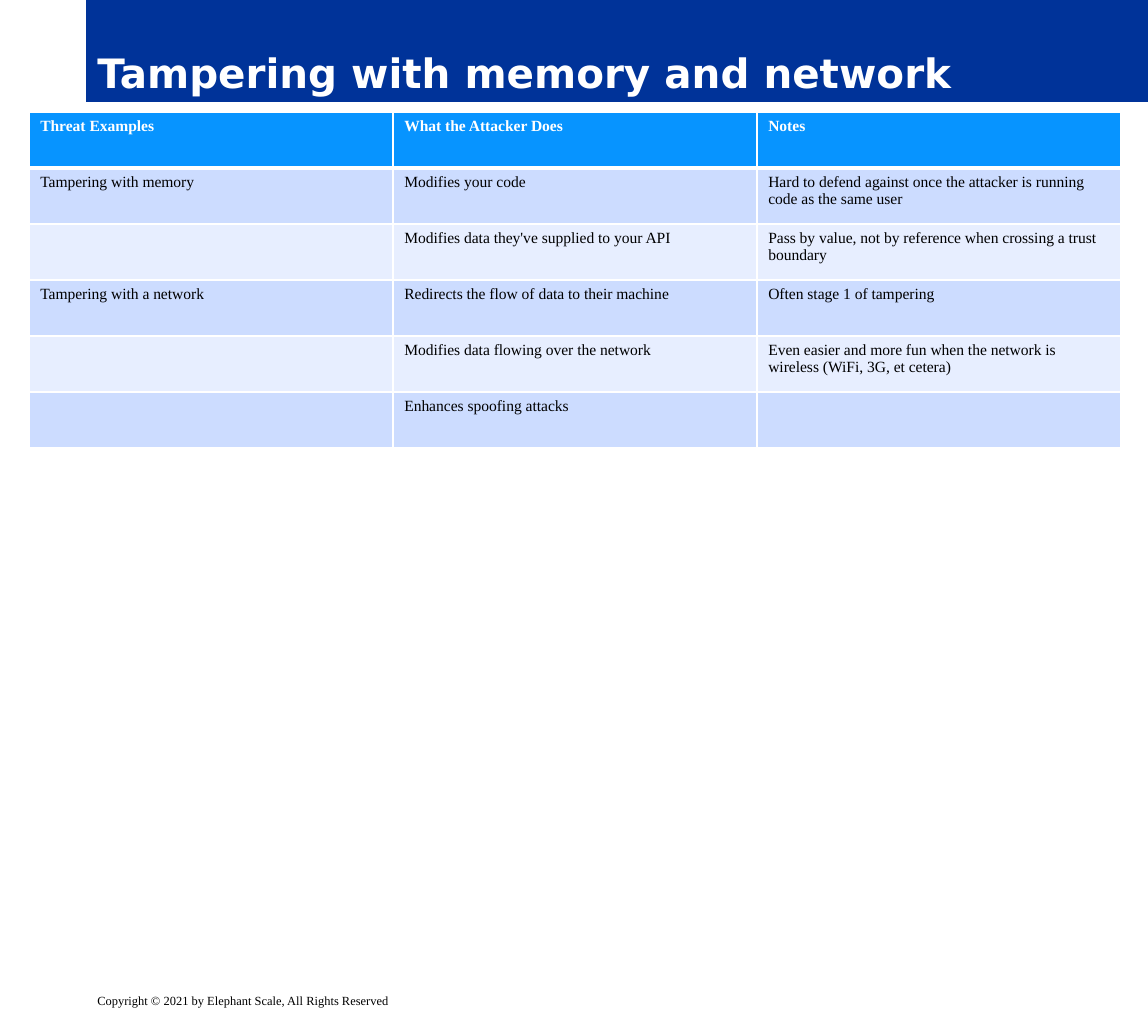
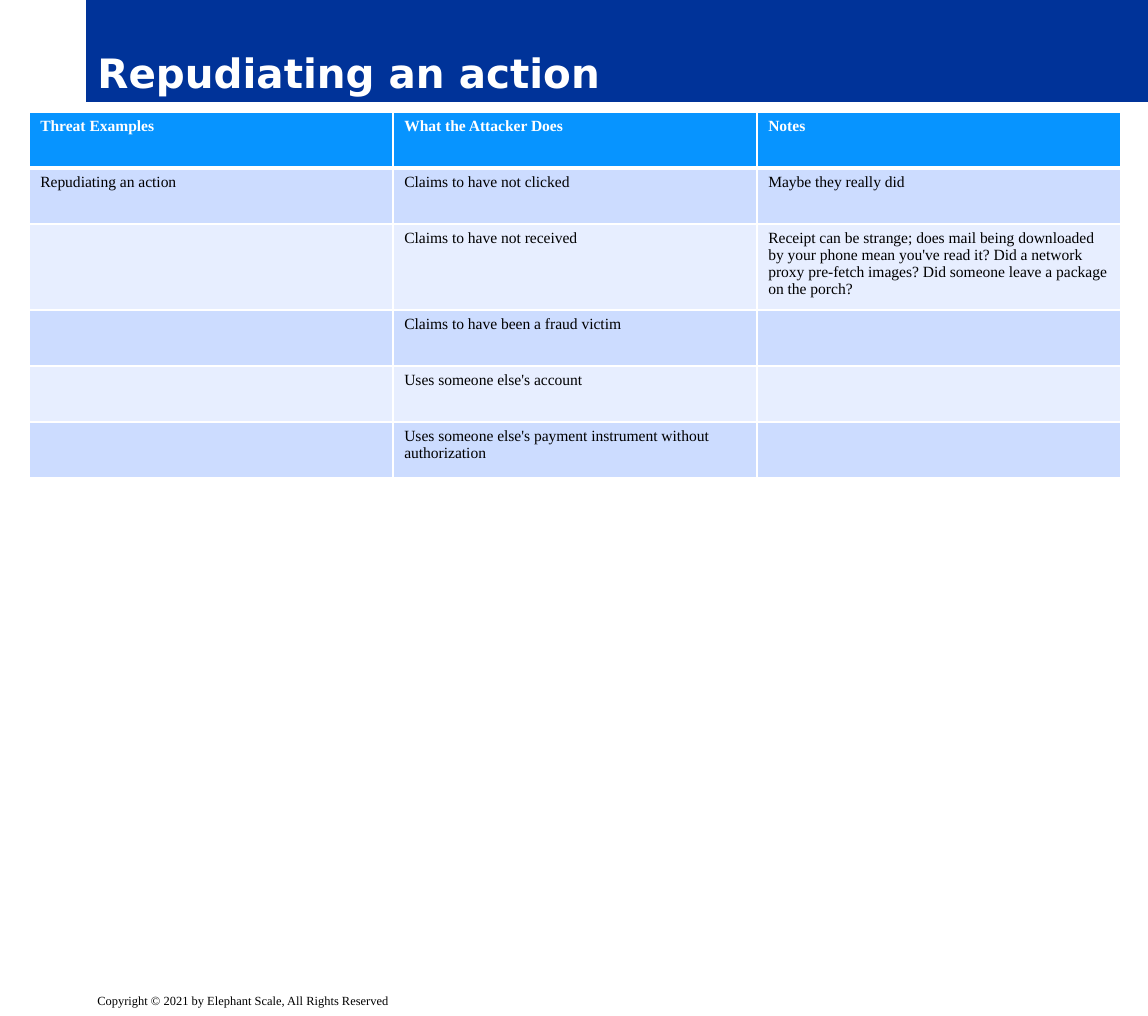
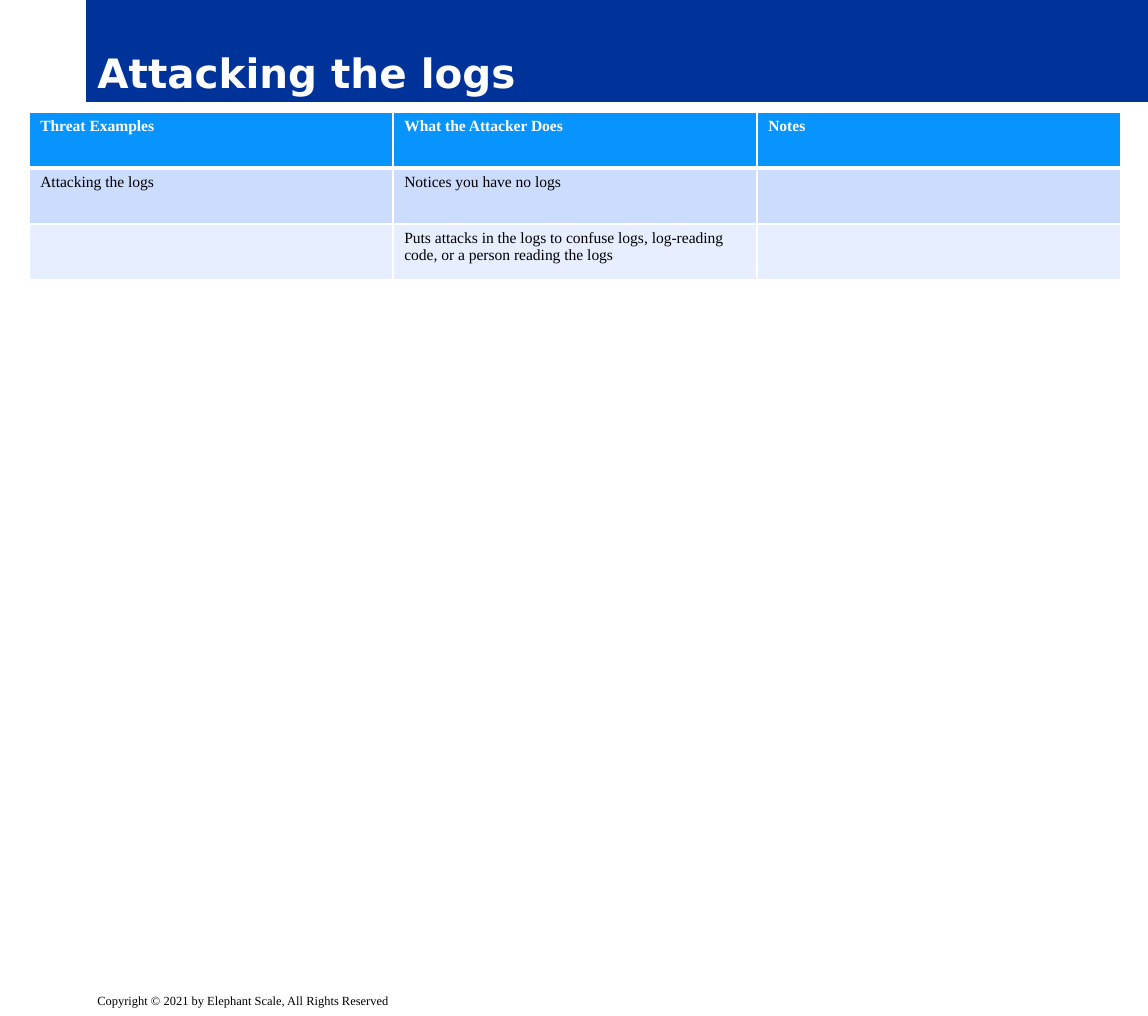
from lxml.etree import SubElement
from pptx import Presentation
from pptx.dml.color import RGBColor
from pptx.enum.text import MSO_ANCHOR, MSO_AUTO_SIZE, PP_ALIGN
from pptx.oxml.ns import qn
from pptx.util import Pt

SLIDE_WIDTH, SLIDE_HEIGHT = 738, 653.04
BAND = (55.44, 0, 682.56, 65.52)
FOOTER = (55.44, 635.04, 682.56, 18)
TABLE_LEFT, TABLE_TOP, TABLE_WIDTH = 18.72, 72, 702
ROW_HEIGHT, TALL_ROW_HEIGHT = 36, 55.3
TALL_TEXT_LENGTH = 150

TITLE_FONT, BODY_FONT = "DejaVu Sans", "Times New Roman"
WHITE, BLACK = "FFFFFF", "000000"
BAND_BLUE, HEADER_BLUE = "003399", "0794FF"
ROW_FILLS = ("CCDCFF", "E7EEFF")

COPYRIGHT = "Copyright © 2021 by Elephant Scale, All Rights Reserved"
HEADINGS = ("Threat Examples", "What the Attacker Does", "Notes")
THREAT_SLIDES = (
    ("Tampering with memory and network", (
        ("Tampering with memory", "Modifies your code",
         "Hard to defend against once the attacker is running code as the same user"),
        ("", "Modifies data they've supplied to your API",
         "Pass by value, not by reference when crossing a trust boundary"),
        ("Tampering with a network", "Redirects the flow of data to their machine",
         "Often stage 1 of tampering"),
        ("", "Modifies data flowing over the network",
         "Even easier and more fun when the network is wireless (WiFi, 3G, et cetera)"),
        ("", "Enhances spoofing attacks", ""),
    )),
    ("Repudiating an action", (
        ("Repudiating an action", "Claims to have not clicked", "Maybe they really did"),
        ("", "Claims to have not received",
         "Receipt can be strange; does mail being downloaded by your phone mean "
         "you've read it? Did a network proxy pre-fetch images? Did someone leave "
         "a package on the porch?"),
        ("", "Claims to have been a fraud victim", ""),
        ("", "Uses someone else's account", ""),
        ("", "Uses someone else's payment instrument without authorization", ""),
    )),
    ("Attacking the logs", (
        ("Attacking the logs", "Notices you have no logs", ""),
        ("", "Puts attacks in the logs to confuse logs, log-reading code, "
             "or a person reading the logs", ""),
    )),
)


def color(hex_string):
    return RGBColor.from_string(hex_string)


def write_text(text_frame, text, font_name, size, hex_color, bold=False):
    text_frame.text = text
    paragraph = text_frame.paragraphs[0]
    paragraph.alignment = PP_ALIGN.LEFT
    for run in paragraph.runs:
        run.font.name = font_name
        run.font.size = Pt(size)
        run.font.bold = bold
        run.font.color.rgb = color(hex_color)


def add_title_band(slide, title, box):
    shape = slide.shapes.title
    shape.left, shape.top, shape.width, shape.height = map(Pt, box)
    shape.fill.solid()
    shape.fill.fore_color.rgb = color(BAND_BLUE)
    text_frame = shape.text_frame
    text_frame.auto_size = MSO_AUTO_SIZE.NONE
    text_frame.vertical_anchor = MSO_ANCHOR.BOTTOM
    write_text(text_frame, title, TITLE_FONT, 26, WHITE, bold=True)


def add_footer(slide, box):
    text_frame = slide.shapes.add_textbox(*map(Pt, box)).text_frame
    text_frame.word_wrap = True
    write_text(text_frame, COPYRIGHT, BODY_FONT, 8, BLACK)


def set_borders(cell, top, bottom):
    """Draw white cell borders; must run before the cell is filled."""
    properties = cell._tc.get_or_add_tcPr()
    for side, width in (("L", 1), ("R", 1), ("T", top), ("B", bottom)):
        line = SubElement(properties, qn(f"a:ln{side}"), w=str(Pt(width)))
        fill = SubElement(line, qn("a:solidFill"))
        SubElement(fill, qn("a:srgbClr"), val=WHITE)


def add_threat_table(slide, rows, left, top, width):
    heights = [TALL_ROW_HEIGHT if max(map(len, row)) > TALL_TEXT_LENGTH else ROW_HEIGHT
               for row in rows]
    table = slide.shapes.add_table(
        len(rows), len(HEADINGS), Pt(left), Pt(top), Pt(width), Pt(sum(heights))).table
    for row_index, (texts, height) in enumerate(zip(rows, heights)):
        table.rows[row_index].height = Pt(height)
        is_header = row_index == 0
        row_fill = HEADER_BLUE if is_header else ROW_FILLS[(row_index - 1) % 2]
        for column_index, text in enumerate(texts):
            cell = table.cell(row_index, column_index)
            set_borders(cell, top=3 if row_index == 1 else 1, bottom=3 if is_header else 1)
            cell.fill.solid()
            cell.fill.fore_color.rgb = color(row_fill)
            write_text(cell.text_frame, text, BODY_FONT, 10,
                       WHITE if is_header else BLACK, bold=is_header)


def add_threat_slide(presentation, title, rows):
    slide = presentation.slides.add_slide(presentation.slide_layouts.get_by_name("Title Only"))
    add_title_band(slide, title, BAND)
    add_footer(slide, FOOTER)
    add_threat_table(slide, (HEADINGS, *rows), TABLE_LEFT, TABLE_TOP, TABLE_WIDTH)


def main():
    presentation = Presentation()
    presentation.slide_width, presentation.slide_height = Pt(SLIDE_WIDTH), Pt(SLIDE_HEIGHT)
    for title, rows in THREAT_SLIDES:
        add_threat_slide(presentation, title, rows)
    presentation.save("out.pptx")


if __name__ == "__main__":
    main()
